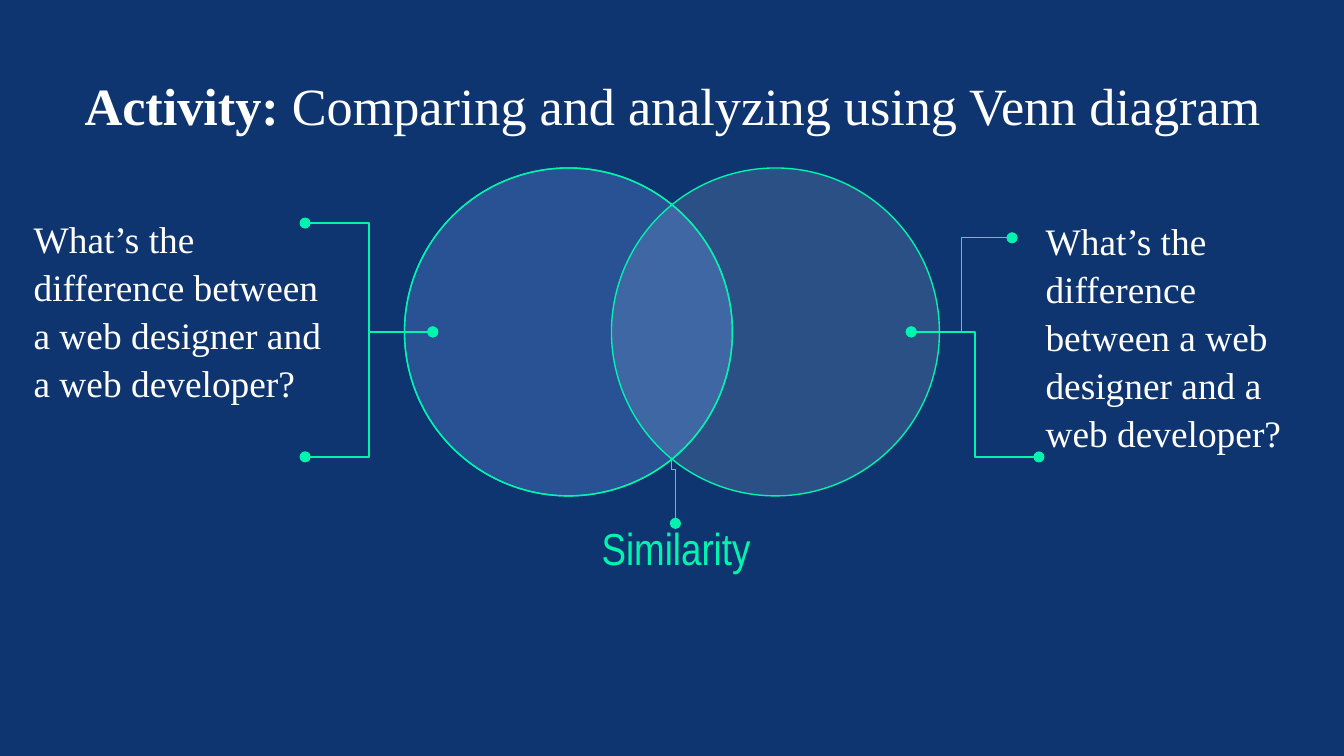
from lxml import etree
from pptx import Presentation
from pptx.dml.color import RGBColor
from pptx.enum import shapes, text
from pptx.oxml.ns import qn
from pptx.util import Inches, Pt

NAVY = RGBColor(0x0F, 0x35, 0x70)
BLUE = RGBColor(0x28, 0x52, 0x93)
PALE_BLUE = RGBColor(0x9F, 0xC5, 0xE8)
GREEN = RGBColor(0x00, 0xF4, 0xAD)
WHITE = RGBColor(0xFF, 0xFF, 0xFF)

QUESTION = "What’s the difference between a web designer and a web developer?"


def add_text(bounds, words, font, size, color, align, anchor):
    """Add a text box without insets; words holds one string per run."""
    box = page.shapes.add_textbox(*map(Inches, bounds))
    frame = box.text_frame
    frame.word_wrap = True
    frame.vertical_anchor = anchor
    frame.margin_left = frame.margin_right = 0
    frame.margin_top = frame.margin_bottom = 0
    para = frame.paragraphs[0]
    para.alignment = align
    for part in words:
        span = para.add_run()
        span.text = part
        span.font.name = font
        span.font.size = Pt(size)
        span.font.color.rgb = color
    return para


def add_dotted_elbow(start, end):
    """Add an elbow connector with a round dot at both ends."""
    elbow = page.shapes.add_connector(
        shapes.MSO_CONNECTOR.ELBOW, *map(Inches, start + end))
    elbow.line.color.rgb = GREEN
    elbow.line.width = Pt(0.75)
    line = elbow._element.spPr.find(qn("a:ln"))
    for tag in ("a:headEnd", "a:tailEnd"):
        etree.SubElement(line, qn(tag), type="oval")
    etree.SubElement(elbow._element.spPr, qn("a:effectLst"))
    return elbow


deck = Presentation()
deck.slide_width = Inches(10)
deck.slide_height = Inches(10) * 9 // 16
page = deck.slides.add_slide(deck.slide_layouts[6])
page.background.fill.solid()
page.background.fill.fore_color.rgb = NAVY

# Title and the two questions
title = add_text((0.15, 0.51, 9.46, 0.53),
                 ["Activity: ", "Comparing and analyzing using Venn diagram"],
                 "Times New Roman", 28, WHITE,
                 text.PP_ALIGN.CENTER, text.MSO_ANCHOR.TOP)
title.runs[0].font.bold = True
body = [title]
for bounds in ((7.53, 2.08, 2.27, 0.82), (0, 1.89, 2.48, 0.82)):
    body.append(add_text(bounds, [QUESTION], "Times New Roman", 20, WHITE,
                         text.PP_ALIGN.LEFT, text.MSO_ANCHOR.MIDDLE))
for para in body:
    para.line_spacing = 1.07
    para.space_after = Pt(8)
    properties = para._p.get_or_add_pPr()
    properties.set("marL", str(Inches(0.25)))
    properties.set("indent", "0")

# Similarity label, with a connector turned upright behind the circles
add_text((4.29, 3.9, 1.48, 0.35), ["Similarity"], "Arial Narrow", 24, GREEN,
         text.PP_ALIGN.CENTER, text.MSO_ANCHOR.MIDDLE)
upright = add_dotted_elbow((4.61, 3.51), (5.41, 3.48))
upright._element.spPr.find(qn("a:xfrm")).set("rot", str(270 * 60000))

# Venn circles; the last is an outline that stays visible over the overlap
for left, color, opacity in ((3.01, BLUE, 100), (4.55, PALE_BLUE, 19),
                             (3.01, None, 100)):
    circle = page.shapes.add_shape(
        shapes.MSO_SHAPE.OVAL,
        Inches(left), Inches(1.25), Inches(2.44), Inches(2.44))
    circle.shadow.inherit = False
    circle.line.color.rgb = GREEN
    circle.line.width = Pt(0.75)
    if color is None:
        circle.fill.background()
        continue
    circle.fill.solid()
    circle.fill.fore_color.rgb = color
    if opacity < 100:
        tint = circle._element.spPr.find(qn("a:solidFill"))[0]
        etree.SubElement(tint, qn("a:alpha"), val=str(opacity * 1000))

# Brackets from the circles to the questions
LEFT_HUB, RIGHT_HUB = (3.22, 2.47), (6.78, 2.47)
for start, end in (((2.27, 1.66), LEFT_HUB), ((2.27, 3.4), LEFT_HUB),
                   (RIGHT_HUB, (7.53, 1.77)), (RIGHT_HUB, (7.73, 3.4))):
    add_dotted_elbow(start, end)

deck.save("out.pptx")
